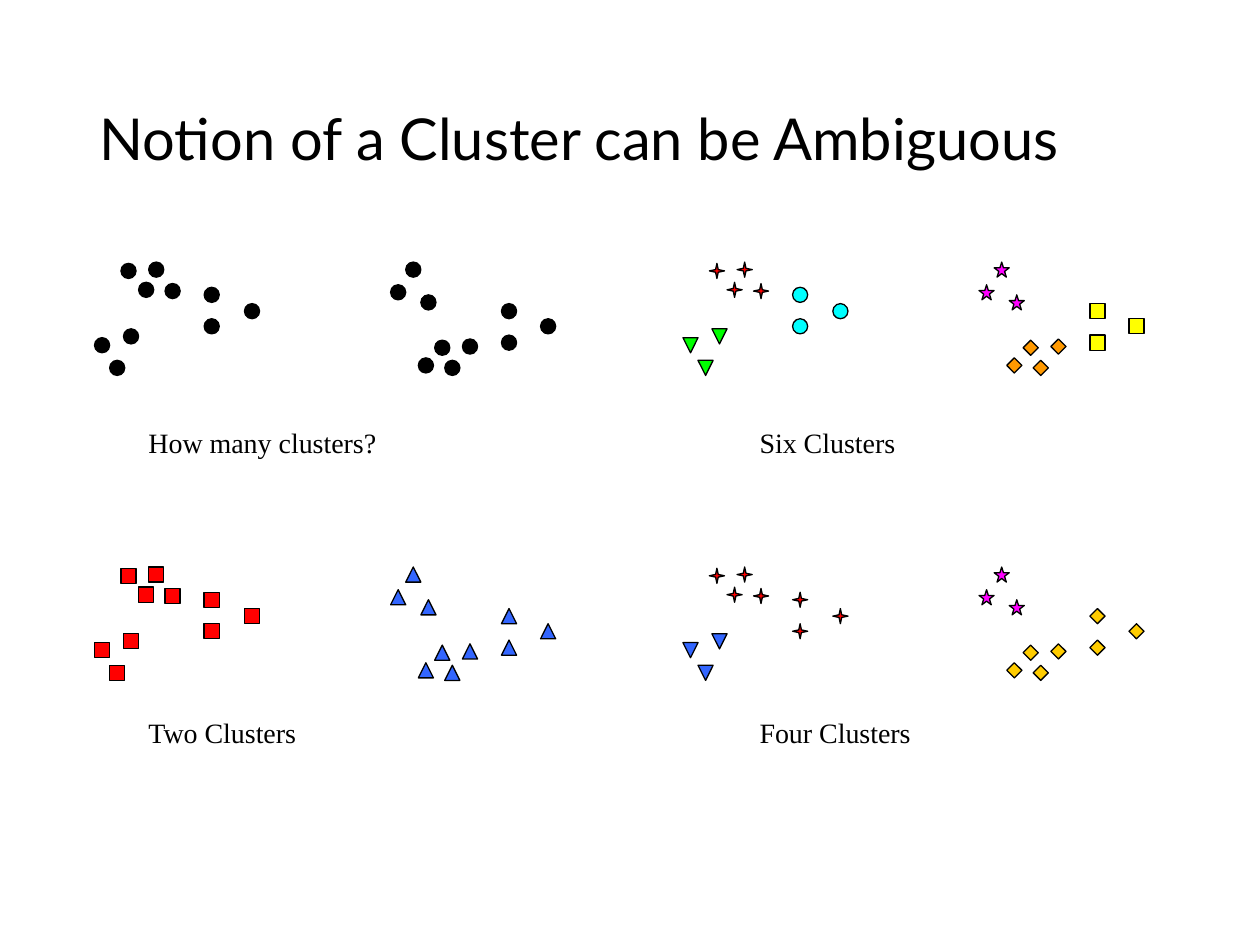
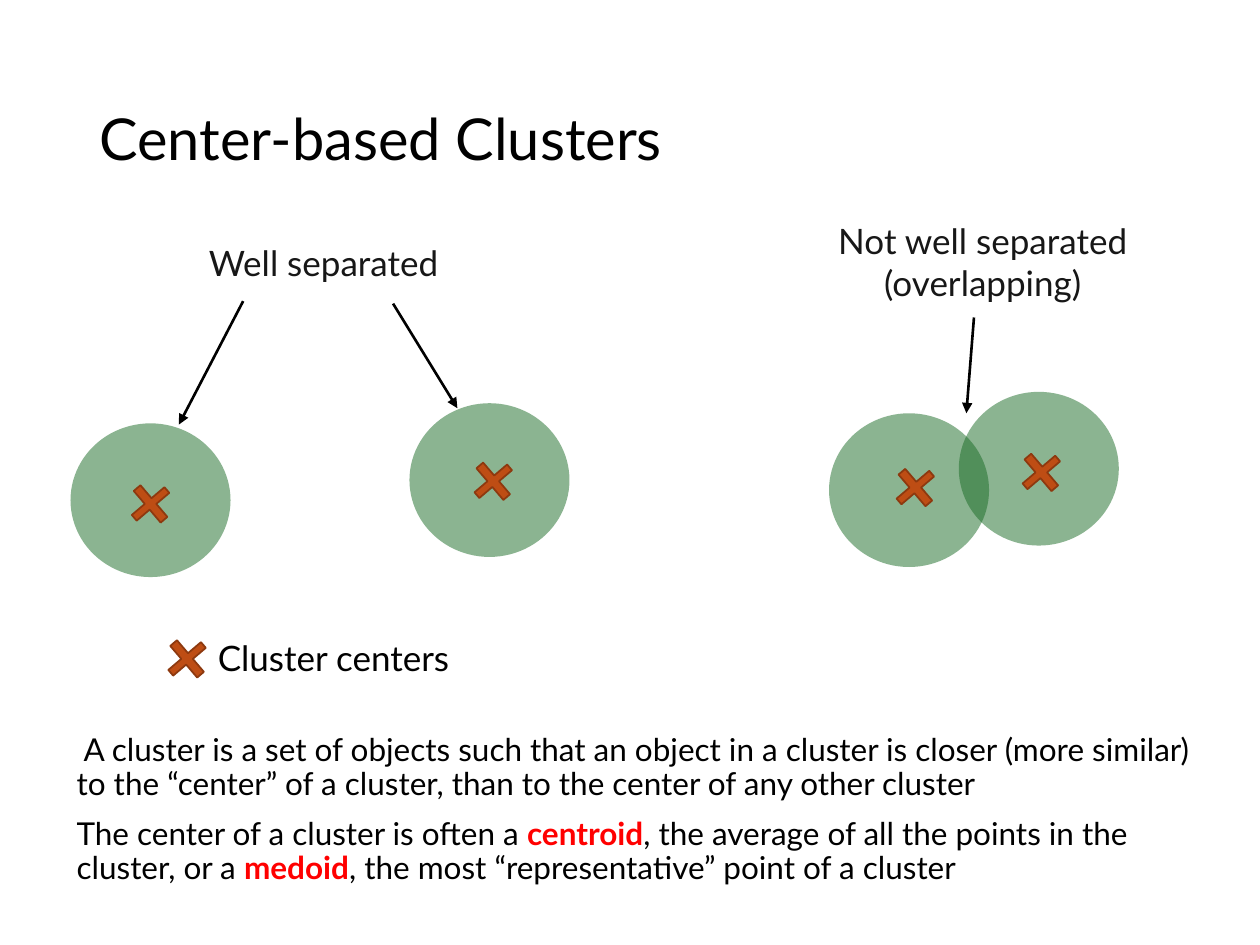
from lxml import etree
from pptx import Presentation
from pptx.dml.color import RGBColor
from pptx.enum.shapes import MSO_CONNECTOR, MSO_SHAPE
from pptx.enum.text import MSO_ANCHOR, MSO_AUTO_SIZE, PP_ALIGN
from pptx.oxml.ns import qn
from pptx.util import Pt

PX = 9144
BLACK = RGBColor(0x00, 0x00, 0x00)
INK = RGBColor(0x17, 0x17, 0x17)
RED = RGBColor(0xFF, 0x00, 0x00)
BLUE = RGBColor(0x33, 0x66, 0xFF)
LIME = RGBColor(0x00, 0xFF, 0x00)
CYAN = RGBColor(0x00, 0xFF, 0xFF)
PINK = RGBColor(0xFF, 0x00, 0xFF)
YELLOW = RGBColor(0xFF, 0xFF, 0x00)
ORANGE = RGBColor(0xFF, 0x99, 0x00)
GOLD = RGBColor(0xFF, 0xCC, 0x00)
GREEN = RGBColor(0x19, 0x6B, 0x24)
RUST = RGBColor(0xBE, 0x4D, 0x14)
BROWN = RGBColor(0x8D, 0x39, 0x0F)

DOT = MSO_SHAPE.OVAL
BOX = MSO_SHAPE.RECTANGLE
PEAK = MSO_SHAPE.ISOSCELES_TRIANGLE
WEDGE = MSO_SHAPE.FLOWCHART_EXTRACT
GEM = MSO_SHAPE.DIAMOND
SPARK = MSO_SHAPE.STAR_4_POINT
STAR = MSO_SHAPE.STAR_5_POINT
PLUS = MSO_SHAPE.CROSS
LINE = MSO_CONNECTOR.STRAIGHT
LEFT, MIDST = PP_ALIGN.LEFT, PP_ALIGN.CENTER
GROW, FIXED = MSO_AUTO_SIZE.SHAPE_TO_FIT_TEXT, MSO_AUTO_SIZE.NONE
SANS, SERIF = "Lato", "Times New Roman"


def draw(slide, kind, x, y, w, h, fill, edge=None, width=0.75):
    shape = slide.shapes.add_shape(kind, x * PX, y * PX, w * PX, h * PX)
    shape.shadow.inherit = False
    shape.fill.solid()
    shape.fill.fore_color.rgb = fill
    if edge is None:
        shape.line.fill.background()
    else:
        shape.line.color.rgb = edge
        shape.line.width = Pt(width)
    return shape


def style(frame, face, size, color, align=LEFT):
    for para in frame.paragraphs:
        para.alignment = align
        for run in para.runs:
            run.font.name = face
            run.font.size = Pt(size)
            run.font.color.rgb = color


deck = Presentation()
deck.slide_width, deck.slide_height = 1000 * PX, 750 * PX

pages = []
for name in ("Notion of a Cluster can be Ambiguous", "Center-based Clusters"):
    page = deck.slides.add_slide(deck.slide_layouts[5])
    title = page.shapes.title
    title.left, title.top = 69 * PX, 40 * PX
    title.width, title.height = 862 * PX, 145 * PX
    frame = title.text_frame
    frame.text = name
    frame.auto_size = FIXED
    frame.vertical_anchor = MSO_ANCHOR.MIDDLE
    frame.paragraphs[0].line_spacing = 0.9
    style(frame, SANS, 33, BLACK)
    pages.append(page)
notion, center = pages

GROUPS = [
    [(56, 17), (21, 1), (43, 0), (35, 16)],
    [(23, 53), (0, 60), (12, 78)],
    [(87, 20), (119, 33), (87, 45)],
    [(292, 61), (257, 76), (278, 78), (270, 62)],
    [(259, 26), (235, 18), (247, 0)],
    [(323, 58), (354, 45), (323, 33)],
]
spark, star = (SPARK, RED, 0), (STAR, PINK, 0)
gold = (GEM, GOLD, 0)
PANELS = [
    ("How many clusters?", 0, 0, [(DOT, BLACK, 0)] * 6),
    ("Six Clusters", 1, 0, [spark, (PEAK, LIME, 180), (DOT, CYAN, 0),
                            (GEM, ORANGE, 0), star, (BOX, YELLOW, 0)]),
    ("Two Clusters", 0, 1, [(BOX, RED, 0)] * 3 + [(PEAK, BLUE, 0)] * 3),
    ("Four Clusters", 1, 1, [spark, (WEDGE, BLUE, 180), spark,
                             gold, star, gold]),
]
for label, col, row, marks in PANELS:
    for spots, (kind, fill, turn) in zip(GROUPS, marks):
        for x, y in spots:
            mark = draw(notion, kind, 75 + 467 * col + x, 208 + 242 * row + y,
                        12, 12, fill, BLACK)
            mark.rotation = turn
            if kind == SPARK:
                mark.adjustments[0] = 0.125
    note = notion.shapes.add_textbox((108 + 485 * col) * PX,
                                     (333 + 230 * row) * PX, 250 * PX, 37 * PX)
    note.text_frame.text = label
    note.text_frame.word_wrap = True
    note.text_frame.auto_size = GROW
    style(note.text_frame, SERIF, 16, BLACK)

body = center.shapes.add_textbox(51 * PX, 578 * PX, 921 * PX, 122 * PX)
frame = body.text_frame
frame.word_wrap = True
PARTS = [
    [" A cluster is a set of objects such that an object in a cluster is closer "
     "(more similar) to the “center” of a cluster, than to the center of any "
     "other cluster"],
    ["The center of a cluster is often a ", "centroid",
     ", the average of all the points in the cluster, or a ", "medoid",
     ", the most “representative” point of a cluster"],
]
frame.add_paragraph()
for para, parts in zip(frame.paragraphs, PARTS):
    para.line_spacing = 0.9
    para.space_before, para.space_after = Pt(5), Pt(4)
    for part in parts:
        para.add_run().text = part
style(frame, SANS, 18, BLACK)
for run in frame.paragraphs[1].runs[1::2]:
    run.font.bold = True
    run.font.color.rgb = RED

for x, y in [(761, 311), (658, 328), (325, 320), (56, 336)]:
    disc = draw(center, DOT, x, y, 127, 122, GREEN)
    tint = disc._element.spPr.find(".//" + qn("a:srgbClr"))
    etree.SubElement(tint, qn("a:alpha"), val="50000")

for label, x, y, w, h, color, align in [
    ("Not well separated\v(overlapping)", 655, 169, 250, 77, INK, MIDST),
    ("Cluster centers", 163, 500, 235, 50, BLACK, LEFT),
    ("Well separated", 156, 187, 206, 43, INK, LEFT),
]:
    note = center.shapes.add_textbox(x * PX, y * PX, w * PX, h * PX)
    note.text_frame.text = label
    note.text_frame.word_wrap = False
    style(note.text_frame, SANS, 20, color, align)

for ends in [(773, 252, 767, 328), (193, 239, 142, 337), (312, 241, 363, 324)]:
    arrow = center.shapes.add_connector(LINE, *[end * PX for end in ends])
    arrow.line.color.rgb = BLACK
    arrow.line.width = Pt(1.5)
    etree.SubElement(arrow.line._get_or_add_ln(), qn("a:tailEnd"), type="triangle")
    etree.SubElement(arrow._element.spPr, qn("a:effectLst"))

for x, y in [(710, 370), (810, 358), (103, 383), (375, 365), (132, 506)]:
    cross = draw(center, PLUS, x, y, 33, 34, RUST, BROWN, 1)
    cross.adjustments[0] = 0.41
    cross.rotation = 49.6

deck.save("out.pptx")
